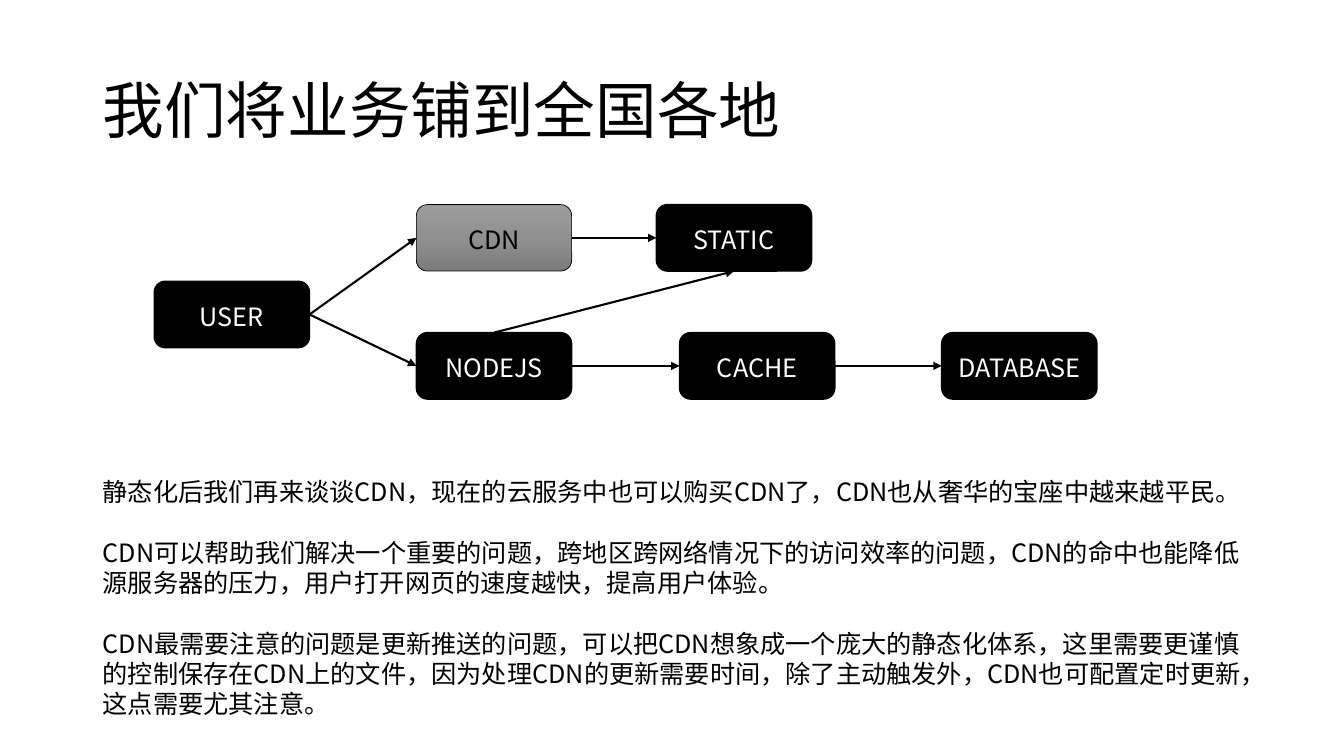
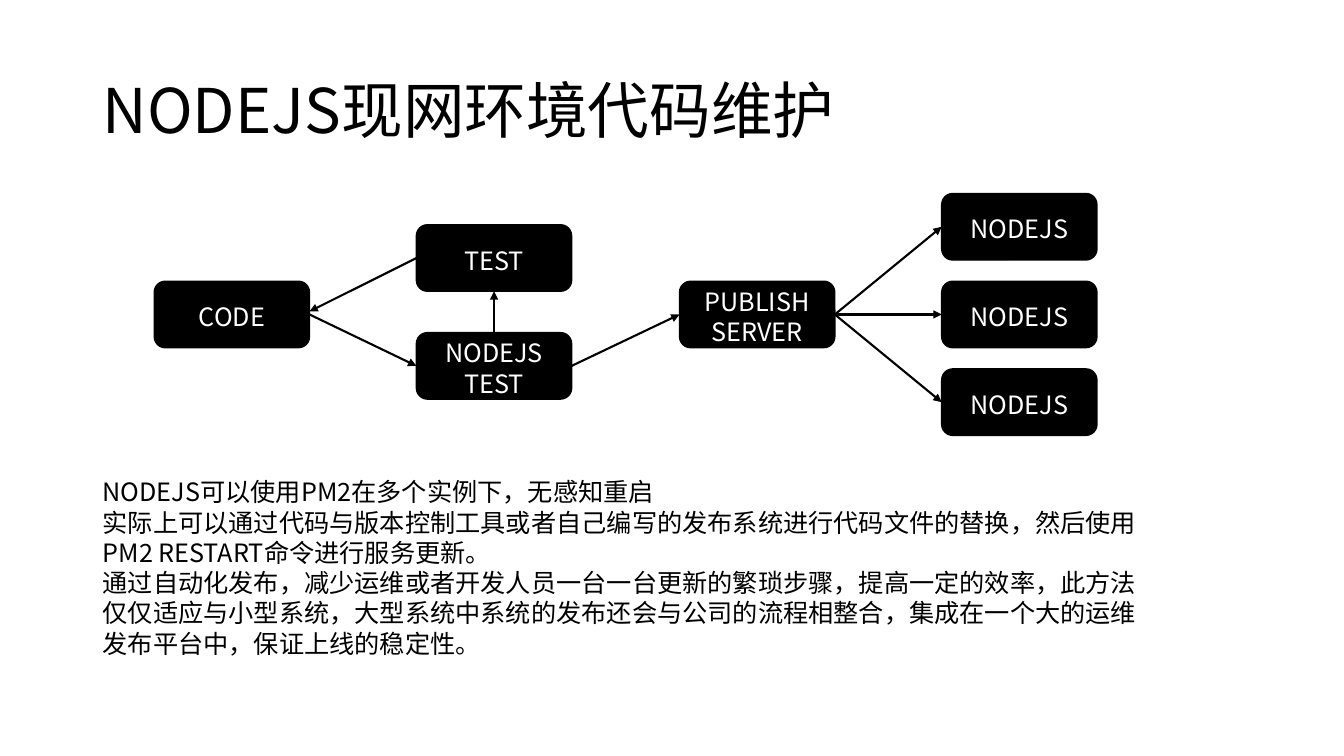
from pptx import Presentation
from pptx.dml.color import RGBColor
from pptx.enum.shapes import MSO_CONNECTOR, MSO_SHAPE
from pptx.enum.text import MSO_ANCHOR, PP_ALIGN
from pptx.oxml import parse_xml
from pptx.oxml.ns import nsdecls, qn
from pptx.util import Pt

ROUNDED = MSO_SHAPE.ROUNDED_RECTANGLE
STRAIGHT = MSO_CONNECTOR.STRAIGHT
MIDDLE, TOP_ANCHOR = MSO_ANCHOR.MIDDLE, MSO_ANCHOR.TOP
LEFT_ALIGN, CENTER = PP_ALIGN.LEFT, PP_ALIGN.CENTER
TOP, LEFT, BOTTOM, RIGHT = range(4)  # connection sites
PX = 9144  # 100 px to the inch

THEME = {
    "font": "Noto Sans CJK SC",
    "ink": RGBColor(0, 0, 0),
    "paper": RGBColor(255, 255, 255),
    "gradient": ((0, "9D9D9D"), (50, "909090"), (100, "7C7C7C")),
    "title_size": Pt(44),
    "text_size": Pt(18),
    "line_height": Pt(21.6),
    "box_line": Pt(1),
    "soft_line": Pt(0.5),
    "arrow_line": Pt(1.5),
}

# Text styles: frame values and paragraph values
TITLE = {
    "frame": {"vertical_anchor": MIDDLE},
    "paragraph": {"alignment": LEFT_ALIGN, "line_spacing": 0.9},
    "size": THEME["title_size"],
}
BODY = {
    "frame": {"vertical_anchor": TOP_ANCHOR},
    "paragraph": {"alignment": LEFT_ALIGN, "line_spacing": THEME["line_height"]},
    "size": THEME["text_size"],
}
NODE = {
    "frame": {"vertical_anchor": MIDDLE, "margin_top": 4 * PX, "margin_bottom": 0},
    "paragraph": {"alignment": CENTER, "line_spacing": THEME["line_height"]},
    "size": THEME["text_size"],
}

# Diagram grid
COLUMNS = (153, 413, 674, 934)
NODE_WIDTH, NODE_HEIGHT = 154, 66
UPPER, CENTRAL, LOWER = 203, 279, 330

# Nodes: key -> (left, top, lines); links: (from, side, to, side),
# where a side of None means that "to" is a free point
SLIDES = [
    {
        "title": "我们将业务铺到全国各地",
        "nodes": {
            "user": (COLUMNS[0], CENTRAL, ["USER"]),
            "cdn": (COLUMNS[1], UPPER, ["CDN"]),
            "static": (651, UPPER, ["STATIC"]),
            "nodejs": (COLUMNS[1], LOWER, ["NODEJS"]),
            "cache": (COLUMNS[2], LOWER, ["CACHE"]),
            "database": (COLUMNS[3], LOWER, ["DATABASE"]),
        },
        "soft": "cdn",
        "links": [
            ("user", RIGHT, "cdn", LEFT),
            ("user", RIGHT, "nodejs", LEFT),
            ("cdn", RIGHT, "static", LEFT),
            ("nodejs", TOP, "static", BOTTOM),
            ("nodejs", RIGHT, "cache", LEFT),
            ("cache", RIGHT, "database", LEFT),
        ],
        "body_size": (1184, 252),
        "body": [
            ["静态化后我们再来谈谈CDN，现在的云服务中也可以购买CDN了，CDN也从奢华的宝座中越来越平民。"],
            ["CDN可以帮助我们解决一个重要的问题，跨地区跨网络情况下的访问效率的问题，CDN的命中也能降低",
             "源服务器的压力，用户打开网页的速度越快，提高用户体验。"],
            ["CDN最需要注意的问题是更新推送的问题，可以把CDN想象成一个庞大的静态化体系，这里需要更谨慎",
             "的控制保存在CDN上的文件，因为处理CDN的更新需要时间，除了主动触发外，CDN也可配置定时更新，",
             "这点需要尤其注意。"],
        ],
    },
    {
        "title": "NODEJS现网环境代码维护",
        "nodes": {
            "code": (COLUMNS[0], CENTRAL, ["CODE"]),
            "test": (COLUMNS[1], 223, ["TEST"]),
            "nodejs_test": (COLUMNS[1], LOWER, ["NODEJS", "TEST"]),
            "publish": (COLUMNS[2], CENTRAL, ["PUBLISH", "SERVER"]),
            "server_1": (COLUMNS[3], CENTRAL - 87, ["NODEJS"]),
            "server_2": (COLUMNS[3], CENTRAL, ["NODEJS"]),
            "server_3": (COLUMNS[3], CENTRAL + 87, ["NODEJS"]),
        },
        "soft": None,
        "links": [
            ("code", RIGHT, "nodejs_test", LEFT),
            ("nodejs_test", TOP, "test", BOTTOM),
            ("test", LEFT, (COLUMNS[0] + NODE_WIDTH, 309), None),
            ("nodejs_test", RIGHT, "publish", LEFT),
            ("publish", RIGHT, "server_1", LEFT),
            ("publish", RIGHT, "server_2", LEFT),
            ("publish", RIGHT, "server_3", LEFT),
        ],
        "body_size": (1055, 192),
        "body": [
            ["NODEJS可以使用PM2在多个实例下，无感知重启",
             "实际上可以通过代码与版本控制工具或者自己编写的发布系统进行代码文件的替换，然后使用",
             "PM2 RESTART命令进行服务更新。",
             "通过自动化发布，减少运维或者开发人员一台一台更新的繁琐步骤，提高一定的效率，此方法",
             "仅仅适应与小型系统，大型系统中系统的发布还会与公司的流程相整合，集成在一个大的运维",
             "发布平台中，保证上线的稳定性。"],
        ],
    },
]


def write_text(shape, groups, style, color):
    """Write groups of lines, one paragraph a line, with a gap between groups."""
    frame = shape.text_frame
    frame.word_wrap = True
    for name, value in style["frame"].items():
        setattr(frame, name, value)
    paragraph = None
    for group_index, lines in enumerate(groups):
        for line_index, line in enumerate(lines):
            paragraph = frame.add_paragraph() if paragraph else frame.paragraphs[0]
            for name, value in style["paragraph"].items():
                setattr(paragraph, name, value)
            if group_index and not line_index:
                paragraph.space_before = THEME["line_height"]
            run = paragraph.add_run()
            run.text = line
            for name, value in {"name": THEME["font"], "size": style["size"]}.items():
                setattr(run.font, name, value)
            run.font.color.rgb = color
            run.font._element.append(
                parse_xml(f'<a:ea {nsdecls("a")} typeface="{THEME["font"]}"/>'))


def fill_gradient(shape):
    """Give the shape the vertical grey gradient of the theme."""
    stops = "".join(f'<a:gs pos="{position * 1000}"><a:srgbClr val="{color}"/></a:gs>'
                    for position, color in THEME["gradient"])
    gradient = parse_xml(f'<a:gradFill {nsdecls("a")} rotWithShape="1"><a:gsLst>{stops}'
                         '</a:gsLst><a:lin ang="5400000" scaled="0"/></a:gradFill>')
    shape.fill.background()
    properties = shape._element.spPr
    properties.replace(properties.find(qn("a:noFill")), gradient)


presentation = Presentation()
presentation.slide_width, presentation.slide_height = 1333 * PX, 750 * PX
blank_layout = presentation.slide_layouts[6]

for content in SLIDES:
    slide = presentation.slides.add_slide(blank_layout)

    # Title and body text
    title = slide.shapes.add_textbox(92 * PX, 40 * PX, 1150 * PX, 145 * PX)
    write_text(title, [[content["title"]]], TITLE, THEME["ink"])
    body_width, body_height = content["body_size"]
    body = slide.shapes.add_textbox(92 * PX, 468 * PX, body_width * PX, body_height * PX)
    write_text(body, content["body"], BODY, THEME["ink"])

    # Diagram nodes
    nodes = {}
    for key, (left, top, lines) in content["nodes"].items():
        node = slide.shapes.add_shape(
            ROUNDED, left * PX, top * PX, NODE_WIDTH * PX, NODE_HEIGHT * PX)
        node.shadow.inherit = False
        soft = key == content["soft"]
        if soft:
            fill_gradient(node)
        else:
            node.fill.solid()
            node.fill.fore_color.rgb = THEME["ink"]
        node.line.color.rgb = THEME["ink"]
        node.line.width = THEME["soft_line" if soft else "box_line"]
        write_text(node, [lines], NODE, THEME["ink" if soft else "paper"])
        nodes[key] = node

    # Arrows between nodes
    for begin, begin_side, end, end_side in content["links"]:
        arrow = slide.shapes.add_connector(STRAIGHT, 0, 0, 0, 0)
        arrow.begin_connect(nodes[begin], begin_side)
        if end_side is None:
            arrow.end_x, arrow.end_y = (length * PX for length in end)
        else:
            arrow.end_connect(nodes[end], end_side)
        arrow.line.color.rgb = THEME["ink"]
        arrow.line.width = THEME["arrow_line"]
        arrow.line._get_or_add_ln().append(
            parse_xml(f'<a:tailEnd {nsdecls("a")} type="triangle"/>'))
        arrow._element.spPr.append(parse_xml(f'<a:effectLst {nsdecls("a")}/>'))

presentation.save("out.pptx")
